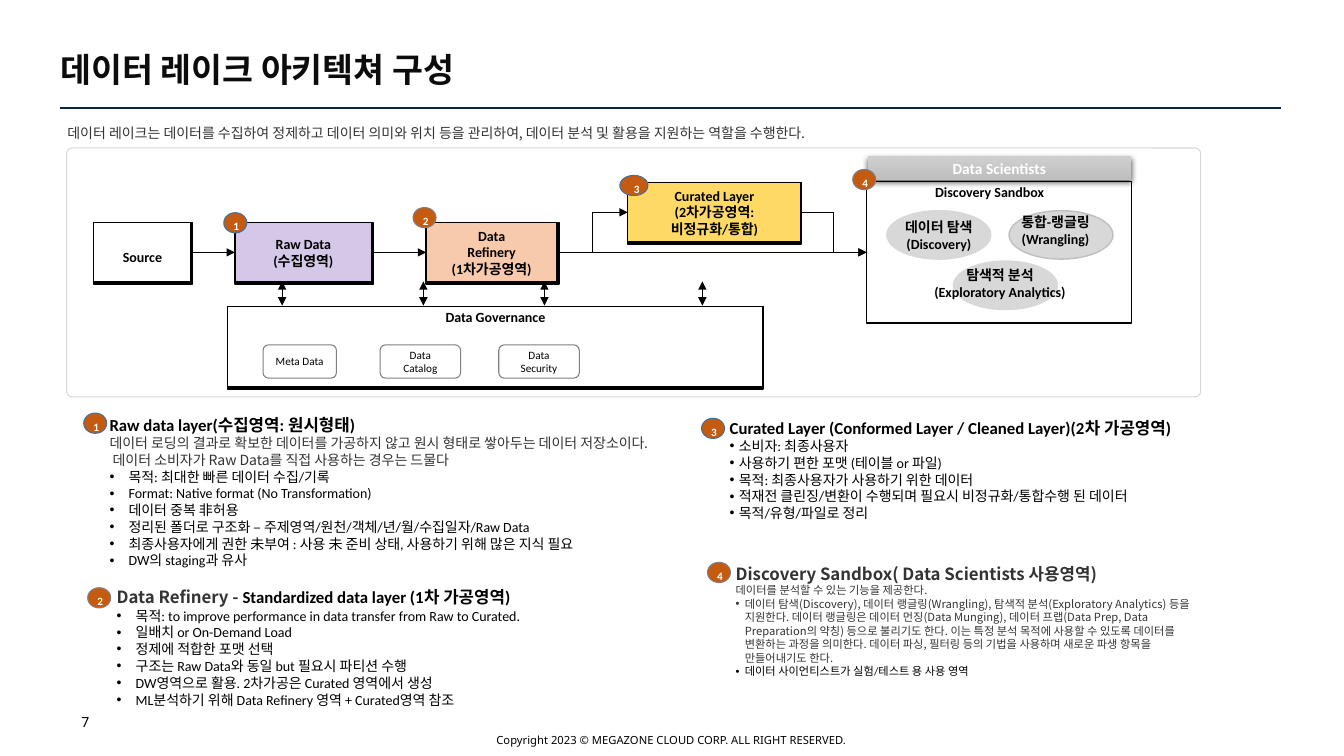
import pptx
import pptx.util
import pptx.dml.color
import pptx.enum.shapes
import pptx.enum.text
import pptx.oxml
import pptx.oxml.ns

Cm, Pt = pptx.util.Cm, pptx.util.Pt
RGB = pptx.dml.color.RGBColor
SHAPE = pptx.enum.shapes.MSO_SHAPE
CONNECTOR = pptx.enum.shapes.MSO_CONNECTOR
ALIGN = pptx.enum.text.PP_ALIGN
ANCHOR = pptx.enum.text.MSO_ANCHOR

BLACK, WHITE = RGB(0, 0, 0), RGB(255, 255, 255)
INK, DARK, NAVY = RGB(0x0C, 0x0C, 0x0C), RGB(0x33, 0x33, 0x33), RGB(0x0A, 0x23, 0x42)
GRAY, SILVER, PALE = RGB(0x7F, 0x7F, 0x7F), RGB(0xBF, 0xBF, 0xBF), RGB(0xD8, 0xD8, 0xD8)
HEADER_TOP = RGB(0xD0, 0xCE, 0xCE)
PURPLE, PEACH, YELLOW = RGB(0xD5, 0xC7, 0xE7), RGB(0xF7, 0xCA, 0xAC), RGB(0xFF, 0xD9, 0x66)
ORANGE, BLUE = RGB(0xC5, 0x5A, 0x11), RGB(0x42, 0x71, 0x9B)
LATIN, NOTO, KOREAN = "Calibri", "Noto Sans", "Noto Sans CJK KR"

# Content; boxes are (left, top, width, height) in centimetres
TITLE = "데이터 레이크 아키텍쳐 구성"
INTRO = "데이터 레이크는 데이터를 수집하여 정제하고 데이터 의미와 위치 등을 관리하여, 데이터 분석 및 활용을 지원하는 역할을 수행한다."
COPYRIGHT = "Copyright 2023 © MEGAZONE CLOUD CORP. ALL RIGHT RESERVED."

# name: text, box, fill, width of the black edge on the right, format
STAGES = {
    "source": ("Source", (2.36, 5.61, 2.46, 1.5), WHITE, 0.03, {"spacing": 1.5}),
    "raw": ("Raw Data\n(수집영역)", (5.92, 5.61, 3.45, 1.5), PURPLE, 0.05, {}),
    "refinery": ("Data\nRefinery\n(1차가공영역)", (10.74, 5.61, 3.3, 1.5), PEACH, 0.05, {}),
    "curated": ("Curated Layer\n(2차가공영역:비정규화/통합)", (15.82, 4.6, 4.37, 1.5), YELLOW, 0, {}),
    "governance": ("Data Governance", (5.74, 7.72, 13.49, 2.03), WHITE, 0, {}),
}
SANDBOX = (21.84, 4.58, 6.68, 3.56)
FLOWS = [("source", "raw", CONNECTOR.STRAIGHT), ("raw", "refinery", CONNECTOR.STRAIGHT),
         ("refinery", "curated", CONNECTOR.ELBOW), ("refinery", "sandbox", CONNECTOR.STRAIGHT),
         ("curated", "sandbox", CONNECTOR.ELBOW)]
GOVERNANCE_LINKS = [7.11, 10.67, 13.72, 17.7]
GOVERNANCE_PARTS = [("Meta Data", 6.63, 1.85), ("Data Catalog", 9.58, 2.03), ("Data Security", 12.57, 2.03)]
# text, text box, top left of the ellipse, its outline
ANALYSES = [
    ("데이터 탐색\n(Discovery)", (22.3, 5.51, 2.72, 0.86), (22.35, 5.31), PALE),
    ("통합-랭글링\n(Wrangling)", (25.1, 5.38, 3, 0.86), (25.43, 5.31), SILVER),
    ("탐색적 분석\n(Exploratory Analytics)", (23.22, 6.71, 3.96, 0.86), (24.03, 6.58), PALE),
]
# number, outline, (left, top, width) in the diagram and beside the list
BADGES = [
    ("1", BLUE, (5.64, 5.36, 0.58), (2.11, 10.41, 0.58)),
    ("2", GRAY, (10.41, 5.23, 0.58), (2.21, 14.81, 0.58)),
    ("3", BLUE, (15.62, 4.42, 0.71), (17.68, 10.54, 0.58)),
    ("4", GRAY, (21.49, 4.27, 0.58), (17.83, 14.17, 0.58)),
]
HEAD = {"size": 12, "bold": True}
DARK_HEAD = {**HEAD, "font": KOREAN, "color": DARK}
WIDE, NARROW = {"indent": 0.48}, {"indent": 0.23}
SMALL = {"size": 8, "font": KOREAN, "color": DARK}
LISTS = [
    ((2.51, 10.31, 14.05, 4.19), [
        ("Raw data layer(수집영역: 원시형태)", HEAD),
        ("데이터 로딩의 결과로 확보한 데이터를 가공하지 않고 원시 형태로 쌓아두는 데이터 저장소이다. "
         "데이터 소비자가 Raw Data를 직접 사용하는 경우는 드물다", {"font": KOREAN, "color": DARK}),
        ("목적: 최대한 빠른 데이터 수집/기록\n"
         "Format: Native format (No Transformation)\n"
         "데이터 중복 非허용\n"
         "정리된 폴더로 구조화 – 주제영역/원천/객체/년/월/수집일자/Raw Data\n"
         "최종사용자에게 권한 未부여 : 사용 未 준비 상태, 사용하기 위해 많은 지식 필요\n"
         "DW의 staging과 유사", WIDE)]),
    ((2.69, 14.66, 14.22, 3.33), [
        ("Data Refinery - ", DARK_HEAD),
        ("Standardized data layer (1차 가공영역)", {**HEAD, "same_line": True}),
        ("목적: to improve performance in data transfer from Raw to Curated.\n"
         "일배치 or On-Demand Load\n"
         "정제에 적합한 포맷 선택\n"
         "구조는 Raw Data와 동일 but 필요시 파티션 수행\n"
         "DW영역으로 활용. 2차가공은 Curated 영역에서 생성\n"
         "ML분석하기 위해 Data Refinery 영역 + Curated영역 참조", WIDE)]),
    ((18.14, 10.39, 13.21, 2.9), [
        ("Curated Layer (Conformed Layer / Cleaned Layer)(2차 가공영역)", HEAD),
        ("소비자: 최종사용자\n"
         "사용하기 편한 포맷 (테이블 or 파일)\n"
         "목적: 최종사용자가 사용하기 위한 데이터\n"
         "적재전 클린징/변환이 수행되며 필요시 비정규화/통합수행 된 데이터\n"
         "목적/유형/파일로 정리", NARROW)]),
    ((18.29, 14.07, 12.12, 3.18), [
        ("Discovery Sandbox( Data Scientists 사용영역)", DARK_HEAD),
        ("데이터를 분석할 수 있는 기능을 제공한다.", SMALL),
        ("데이터 탐색(Discovery), 데이터 랭글링(Wrangling), 탐색적 분석(Exploratory Analytics) 등을 지원한다. "
         "데이터 랭글링은 데이터 먼징(Data Munging), 데이터 프랩(Data Prep, Data Preparation의 약칭) 등으로 "
         "불리기도 한다. 이는 특정 분석 목적에 사용할 수 있도록 데이터를 변환하는 과정을 의미한다. "
         "데이터 파싱, 필터링 등의 기법을 사용하며 새로운 파생 항목을 만들어내기도 한다.", {**SMALL, **NARROW}),
        ("데이터 사이언티스트가 실험/테스트 용 사용 영역", {"size": 8, **NARROW})]),
]


def add_xml(parent, tag, attributes="", inner=""):
    namespace = pptx.oxml.ns.nsdecls("a")
    parent.append(pptx.oxml.parse_xml(f"<a:{tag} {namespace} {attributes}>{inner}</a:{tag}>"))


def write(shape, text, *, size=10, color=BLACK, bold=False, font=LATIN, align=ALIGN.LEFT,
          spacing=None, indent=0, same_line=False):
    """Add one paragraph per line of text, or go on in the last paragraph."""
    frame = shape.text_frame
    for line in text.split("\n"):
        paragraph = frame.paragraphs[-1]
        if not same_line:
            if paragraph.runs:
                paragraph = frame.add_paragraph()
            paragraph.alignment = align
            paragraph.line_spacing = spacing or Pt(1.2 * size)
            paragraph.space_before = paragraph.space_after = Pt(0)
            props = paragraph._p.get_or_add_pPr()
            props.set("marL", str(Cm(indent)))
            props.set("indent", str(-Cm(indent)))
            if indent:
                add_xml(props, "buClr", inner=f'<a:srgbClr val="{color}"/>')
                add_xml(props, "buFont", 'typeface="Arial"')
                add_xml(props, "buChar", 'char="•"')
            else:
                add_xml(props, "buNone")
        run = paragraph.add_run()
        run.text = line
        run.font.size, run.font.bold, run.font.name = Pt(size), bold, font
        run.font.color.rgb = color
        add_xml(run._r.get_or_add_rPr(), "ea", f'typeface="{KOREAN}"')


def set_frame(shape, anchor=ANCHOR.TOP, side=0.25, edge=0.13):
    frame = shape.text_frame
    frame.word_wrap, frame.auto_size = True, pptx.enum.text.MSO_AUTO_SIZE.NONE
    frame.vertical_anchor = anchor
    frame.margin_left = frame.margin_right = Cm(side)
    frame.margin_top = frame.margin_bottom = Cm(edge)
    return shape


def place(shape, box):
    shape.left, shape.top, shape.width, shape.height = map(Cm, box)
    return shape


def add_box(box, kind=SHAPE.RECTANGLE, fill=None, line=BLACK, weight=1):
    shape = slide.shapes.add_shape(kind, *map(Cm, box))
    shape.shadow.inherit = False
    if fill is None:
        shape.fill.background()
    else:
        shape.fill.solid()
        shape.fill.fore_color.rgb = fill
    shape.line.color.rgb, shape.line.width = line, Pt(weight)
    return set_frame(shape, ANCHOR.MIDDLE)


def add_label(box, text, anchor=ANCHOR.TOP, side=0, edge=0, **style):
    label = set_frame(slide.shapes.add_textbox(*map(Cm, box)), anchor, side, edge)
    write(label, text, **style)


def add_line(kind=CONNECTOR.STRAIGHT, ends=(0, 0, 0, 0), color=BLACK, weight=0.75, heads=("tailEnd",)):
    line = slide.shapes.add_connector(kind, *map(Cm, ends))
    line.line.color.rgb, line.line.width = color, Pt(weight)
    for head in heads:
        add_xml(line.line._get_or_add_ln(), head, 'type="triangle"')
    add_xml(line._element.spPr, "effectLst")
    return line


deck = pptx.Presentation()
deck.slide_width, deck.slide_height = Cm(33.87), Cm(19.05)
slide = deck.slides.add_slide(deck.slide_layouts.get_by_name("Comparison"))
centred = {"align": ALIGN.CENTER, "bold": True}

# Title, rule, introduction and footer
title, *bodies = slide.placeholders
set_frame(place(title, (1.52, 1.22, 14.53, 1.02)), ANCHOR.MIDDLE, 0, 0)
write(title, TITLE, size=24, color=INK, bold=True)
add_line(ends=(1.5, 2.72, 32.28, 2.72), color=NAVY, weight=1.5, heads=())
add_label((1.45, 3, 22.99, 0.69), INTRO, side=0.25, edge=0.13, font=KOREAN, color=DARK)
add_label((10.97, 18.11, 11.91, 0.76), COPYRIGHT, ANCHOR.MIDDLE, 0.25, 0.13,
          size=8, font=NOTO, align=ALIGN.CENTER, spacing=2)
add_label((1.8, 17.86, 9.37, 1.02), "7", side=0.25, edge=0.13, font=NOTO, spacing=1)

# Lists
for body, (box, parts) in zip(bodies, LISTS):
    set_frame(place(body, box))
    for text, style in parts:
        write(body, text, **style)

# Diagram panel and stages with a thick black edge
add_box((1.68, 3.73, 28.58, 6.27), SHAPE.ROUNDED_RECTANGLE, WHITE, PALE, 0.75).adjustments[0] = 0.022
nodes = {}
for name, (text, (left, top, width, height), fill, edge, style) in STAGES.items():
    add_box((left, top, width + edge, height + 0.05), fill=BLACK)
    nodes[name] = add_box((left, top, width, height), fill=fill)
    write(nodes[name], text, **centred, **style)
set_frame(nodes["governance"], edge=0.05)
for text, left, width in GOVERNANCE_PARTS:
    part = add_box((left, 8.69, width, 0.84), SHAPE.ROUNDED_RECTANGLE, None, GRAY, 0.75)
    write(part, text, size=8, align=ALIGN.CENTER)

# Discovery sandbox
for text, box, corner, outline in ANALYSES:
    add_box((*corner, 2.62, 1.22), SHAPE.OVAL, PALE, outline)
    add_label(box, text, **centred)
scientists = add_box((21.87, 3.94, 6.63, 0.61))
scientists.fill.gradient()
scientists.fill.gradient_angle = 270
for stop, color in zip(scientists.fill.gradient_stops, (HEADER_TOP, SILVER)):
    stop.color.rgb = color
scientists.line.fill.background()
add_xml(scientists._element.spPr.find(pptx.oxml.ns.qn("a:effectLst")), "outerShdw",
        f'blurRad="{Pt(4.5)}" dist="{Pt(1.5)}" dir="5400000"',
        '<a:srgbClr val="000000"><a:alpha val="63000"/></a:srgbClr>')
write(scientists, "Data Scientists", size=11, color=WHITE, **centred)
nodes["sandbox"] = add_box(SANDBOX)
add_label((22.3, 4.62, 5.28, 0.43), "Discovery Sandbox", **centred)

# Arrows
for start, end, kind in FLOWS:
    flow = add_line(kind)
    flow.begin_connect(nodes[start], 3)
    flow.end_connect(nodes[end], 1)
for x in GOVERNANCE_LINKS:
    add_line(ends=(x, 7.09, x, 7.7), heads=("headEnd", "tailEnd"))

# Numbered badges
for number, outline, *spots in BADGES:
    for spot in spots:
        badge = add_box((*spot, 0.51), SHAPE.OVAL, ORANGE, outline, 0.75)
        write(badge, number, size=8, color=WHITE, spacing=1.5, **centred)

deck.save("out.pptx")
